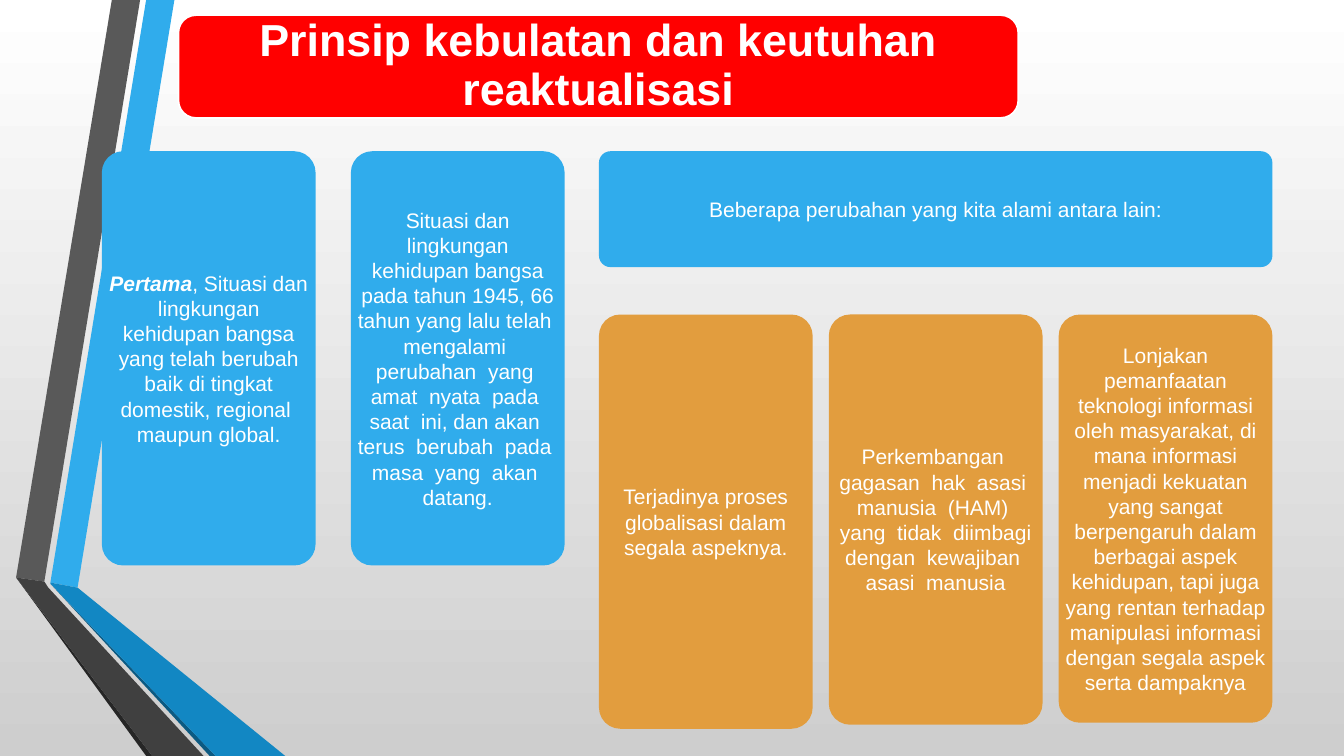
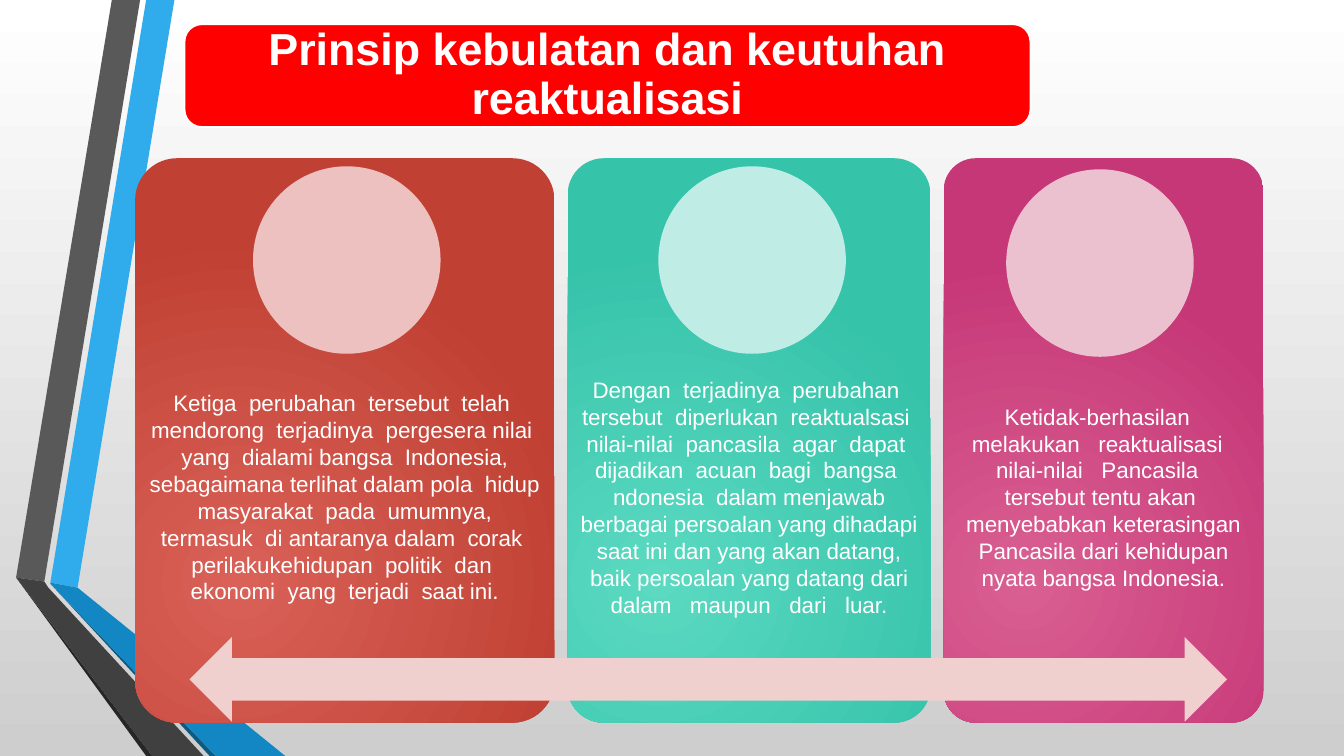
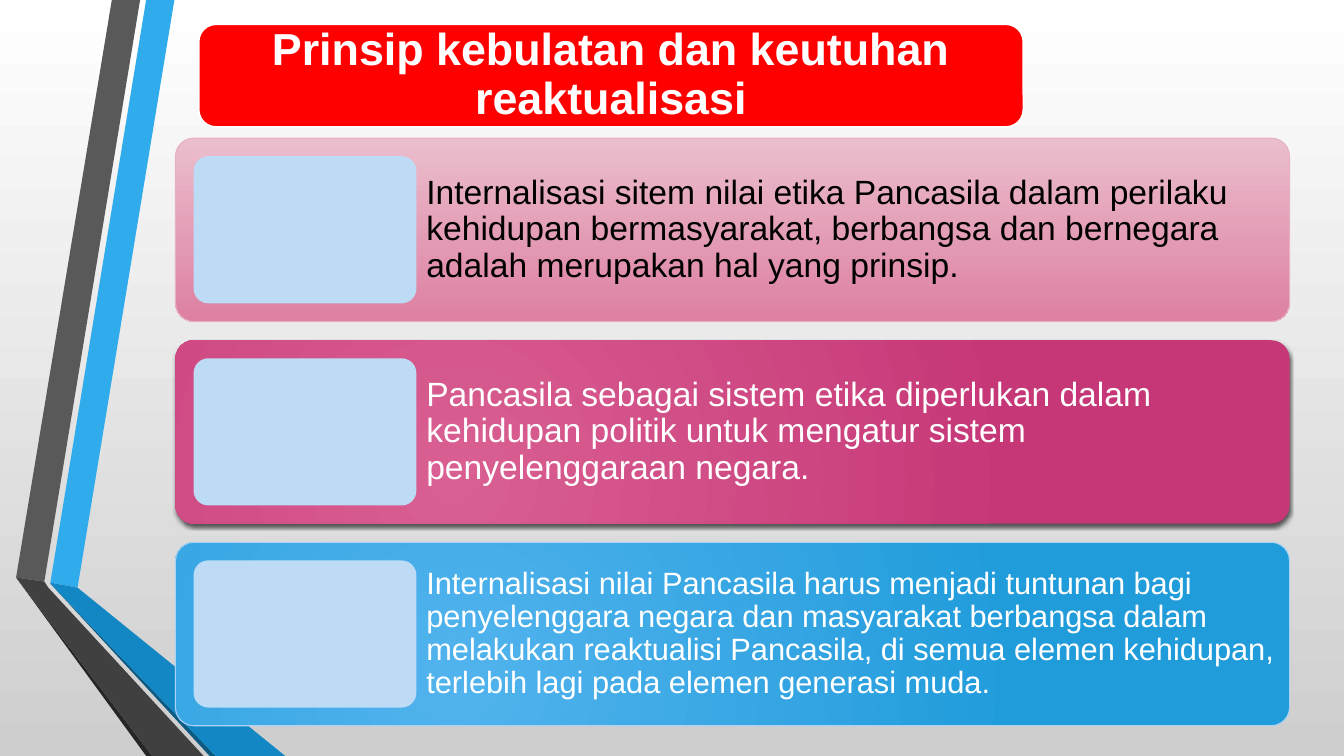
from dataclasses import dataclass

from lxml import etree
from pptx import Presentation
from pptx.dml.color import RGBColor
from pptx.enum import shapes, text
from pptx.oxml import ns
from pptx.util import Inches, Pt


@dataclass(frozen=True)
class Theme:
    font: str = "Arial"
    title_size: int = 32
    row_size: int = 24
    small_row_size: int = 22
    card_size: int = 16
    tile_size: int = 15
    white: str = "FFFFFF"
    black: str = "000000"
    page_end: str = "CECECE"
    banner: str = "FF0000"
    blue: str = "30ACEC"
    orange: str = "E29D3E"
    arrow: str = "F0D0CE"
    panel: str = "BEDBF6"
    red_glow: tuple = ("D96157", "C04033")
    teal_glow: tuple = ("5BD9C1", "35C3AA")
    pink_glow: tuple = ("D95F92", "C63777")
    blue_glow: tuple = ("51B3ED", "219CDB")
    pink_fade: tuple = ("EBBECD", "DD80A2")
    pink_edge: str = "E8B1C3"
    blue_edge: str = "AED2F4"


@dataclass(frozen=True)
class Box:
    x: float
    y: float
    w: float
    h: float

    def inner(self, dx, dy, w, h):
        return Box(self.x + dx, self.y + dy, w, h)

    def emu(self):
        return [Inches(v) for v in (self.x, self.y, self.w, self.h)]


T = Theme()
TITLE = "Prinsip kebulatan dan keutuhan reaktualisasi"
RIBBONS = [
    ("30ACEC", [(0.5, 5.78), (0.77, 5.83), (1.73, 0), (1.45, 0)]),
    ("595959", [(1.39, 0), (1.11, 0), (0.16, 5.73), (0.44, 5.77)]),
    ("262626", [(0.16, 5.73), (1.45, 7.5), (1.51, 7.5)]),
    ("0C5A82", [(0.5, 5.79), (2.08, 7.5), (2.14, 7.5)]),
    ("1287C3", [(0.5, 5.79), (2.14, 7.5), (2.83, 7.5), (0.77, 5.83), (0.5, 5.78)]),
    ("404040", [(2.02, 7.5), (0.48, 5.83), (0.44, 5.77), (0.16, 5.73), (1.51, 7.5)]),
]


def rgb(value):
    return RGBColor.from_string(value)


def add_xml(parent, tag, **attrs):
    return etree.SubElement(parent, ns.qn(tag), **attrs)


def paint_gradient(fill, colors):
    fill.gradient()
    fill.gradient_angle = 270
    for stop, color in zip(fill.gradient_stops, colors):
        stop.color.rgb = rgb(color)


def make_radial(sp):
    lin = sp.element.xpath(".//a:gradFill/a:lin")[0]
    radial = add_xml(lin.getparent(), "a:path", path="circle")
    add_xml(radial, "a:fillToRect", l="50000", t="100000", r="100000", b="50000")
    lin.getparent().remove(lin)


def add_shadow(sp):
    effects = sp.element.xpath("./p:spPr/a:effectLst")[0]
    shadow = add_xml(effects, "a:outerShdw", blurRad=str(Pt(3)), dist=str(Pt(2)),
                     dir="5400000", algn="ctr", rotWithShape="0")
    color = add_xml(shadow, "a:srgbClr", val=T.black)
    add_xml(color, "a:alpha", val="64000")


def finish(sp, fill, edge=None, weight=0.75, radial=True):
    sp.shadow.inherit = False
    if isinstance(fill, tuple):
        paint_gradient(sp.fill, fill)
        if radial:
            make_radial(sp)
    else:
        sp.fill.solid()
        sp.fill.fore_color.rgb = rgb(fill)
    if edge:
        sp.line.color.rgb = rgb(edge)
        sp.line.width = Pt(weight)
    else:
        sp.line.fill.background()
    return sp


def add_block(slide, box, fill, kind=shapes.MSO_SHAPE.ROUNDED_RECTANGLE, corner=0.1, **style):
    sp = slide.shapes.add_shape(kind, *box.emu())
    if kind == shapes.MSO_SHAPE.ROUNDED_RECTANGLE:
        sp.adjustments[0] = corner
    return finish(sp, fill, **style)


def write(sp, content, size, color=T.white, lead="", bold=False,
          align=text.PP_ALIGN.CENTER, spacing=1.0, margins=(0, 0)):
    tf = sp.text_frame
    tf.word_wrap = True
    tf.auto_size = text.MSO_AUTO_SIZE.NONE
    tf.vertical_anchor = text.MSO_ANCHOR.MIDDLE
    tf.margin_left = tf.margin_right = Inches(margins[0])
    tf.margin_top = tf.margin_bottom = Inches(margins[1])
    p = tf.paragraphs[0]
    p.alignment = align
    p.line_spacing = spacing
    for part, strong in ((lead, True), (content, False)):
        if part:
            r = p.add_run()
            r.text = part
            r.font.name = T.font
            r.font.size = Pt(size)
            r.font.color.rgb = rgb(color)
            r.font.bold = strong or bold
            r.font.italic = strong


def dress_master(master, slide):
    paint_gradient(master.background.fill, (T.white, T.page_end))
    tree = master.shapes.element
    for i, (color, points) in enumerate(RIBBONS):
        (x, y), *rest = [(Inches(a), Inches(b)) for a, b in points]
        builder = slide.shapes.build_freeform(x, y)
        builder.add_line_segments(rest, close=True)
        sp = finish(builder.convert_to_shape(), color)
        sp.element.xpath(".//p:cNvPr")[0].set("id", str(20 + i))
        tree.insert(2 + i, sp.element)


def title_banner(slide, box):
    add_block(slide, box, T.banner, corner=0.17, edge=T.white, weight=1.25)
    title = slide.shapes.title
    title.left, title.top, title.width, title.height = box.emu()
    slide.shapes.element.append(title.element)
    write(title, TITLE, T.title_size, bold=True, spacing=0.9, margins=(0.13, 0))


def tile(slide, box, fill, content, lead=""):
    write(add_block(slide, box, fill), content, T.tile_size, lead=lead)


def changes_slide(slide, area):
    title_banner(slide, Box(1.77, 0.15, 8.33, 1.02))
    width, height, step, detail_step = 2.12, 4.11, 2.47, 2.28
    situations = [
        ("Pertama", ", Situasi dan lingkungan kehidupan bangsa yang telah berubah baik di tingkat "
         "domestik, regional  maupun global."),
        ("", "Situasi dan lingkungan kehidupan bangsa pada tahun 1945, 66 tahun yang lalu telah  "
         "mengalami  perubahan  yang  amat  nyata  pada  saat  ini, dan akan  terus  berubah  "
         "pada  masa  yang  akan  datang."),
    ]
    for i, (lead, content) in enumerate(situations):
        tile(slide, area.inner(i * step, 0, width, height), T.blue, content, lead)
    group = area.inner(4.93, 0, 6.68, 1.15)
    tile(slide, group, T.blue, "Beberapa perubahan yang kita alami antara lain:")
    details = [
        (4.11, "Terjadinya proses globalisasi dalam segala aspeknya."),
        (4.07, "Perkembangan  gagasan  hak  asasi  manusia  (HAM)  yang  tidak  diimbagi dengan  "
         "kewajiban  asasi  manusia"),
        (4.05, "Lonjakan pemanfaatan teknologi informasi oleh masyarakat, di mana informasi "
         "menjadi kekuatan yang sangat berpengaruh dalam berbagai aspek kehidupan, tapi juga "
         "yang rentan terhadap manipulasi informasi dengan segala aspek serta dampaknya"),
    ]
    for i, (tall, content) in enumerate(details):
        tile(slide, group.inner(i * detail_step, 1.62, width, tall), T.orange, content)


def circle_card(slide, box, glow, disc, disc_at, content):
    add_block(slide, box, glow)
    caption = slide.shapes.add_textbox(*box.inner(0, 2.24, box.w, 2.24).emu())
    write(caption, content, T.card_size, margins=(0.12, 0.12))
    add_block(slide, box.inner(*disc_at, 1.86, 1.86), disc, kind=shapes.MSO_SHAPE.OVAL)


def impact_slide(slide, area):
    title_banner(slide, Box(1.83, 0.24, 8.39, 1.02))
    cards = [
        (4.16, T.red_glow, "ECC1BF", (1.17, 0.08),
         "Ketiga  perubahan  tersebut  telah  mendorong  terjadinya  pergesera nilai  yang  "
         "dialami bangsa  Indonesia, sebagaimana terlihat dalam pola  hidup  masyarakat  pada  "
         "umumnya,  termasuk  di antaranya dalam  corak  perilakukehidupan  politik  dan  "
         "ekonomi  yang  terjadi  saat ini."),
        (3.6, T.teal_glow, "C0ECE6", (0.9, 0.08),
         "Dengan  terjadinya  perubahan  tersebut  diperlukan  reaktualsasi  nilai-nilai  "
         "pancasila  agar  dapat  dijadikan  acuan  bagi  bangsa  ndonesia  dalam menjawab "
         "berbagai persoalan yang dihadapi saat ini dan yang akan datang, baik persoalan yang "
         "datang dari dalam   maupun   dari   luar."),
        (3.17, T.pink_glow, "ECC1CF", (0.62, 0.11),
         "Ketidak-berhasilan   melakukan   reaktualisasi   nilai-nilai   Pancasila   tersebut "
         "tentu akan  menyebabkan keterasingan Pancasila dari kehidupan nyata bangsa Indonesia."),
    ]
    dx, gap = 0, 0.13
    for width, glow, disc, disc_at, content in cards:
        circle_card(slide, area.inner(dx, 0, width, area.h), glow, disc, disc_at, content)
        dx += width + gap
    add_block(slide, area.inner(0.54, 4.75, 10.29, 0.84), T.arrow,
              kind=shapes.MSO_SHAPE.LEFT_RIGHT_ARROW)


def panel_row(slide, box, fill, content, size=T.row_size, color=T.white, shadow=False, **style):
    sp = add_block(slide, box, fill, **style)
    if shadow:
        add_shadow(sp)
    caption = slide.shapes.add_textbox(*box.inner(2.39, 0, box.w - 2.4, box.h).emu())
    write(caption, content, size, color=color, align=text.PP_ALIGN.LEFT,
          spacing=0.9, margins=(0.1, 0.1))
    add_block(slide, box.inner(0.18, 0.18, 2.21, 1.46), T.panel)


def principles_slide(slide, area):
    title_banner(slide, Box(1.97, 0.24, 8.18, 1.02))
    rows = [
        (T.pink_fade, "Internalisasi sitem nilai etika Pancasila dalam perilaku kehidupan "
         "bermasyarakat, berbangsa dan bernegara adalah merupakan hal yang prinsip.",
         dict(color=T.black, edge=T.pink_edge, radial=False)),
        (T.pink_glow, "Pancasila sebagai sistem etika diperlukan dalam kehidupan politik untuk "
         "mengatur sistem penyelenggaraan negara.", dict(shadow=True)),
        (T.blue_glow, "Internalisasi nilai Pancasila harus menjadi tuntunan bagi penyelenggara "
         "negara dan masyarakat berbangsa dalam melakukan reaktualisi Pancasila, di semua elemen "
         "kehidupan, terlebih lagi pada elemen generasi muda.",
         dict(size=T.small_row_size, edge=T.blue_edge)),
    ]
    height = 1.82
    step = (area.h - height) / (len(rows) - 1)
    for i, (fill, content, style) in enumerate(rows):
        panel_row(slide, area.inner(0, i * step, area.w, height), fill, content, **style)


def main():
    prs = Presentation()
    prs.slide_width, prs.slide_height = Inches(13.33), Inches(7.5)
    layout = prs.slide_layouts[5]
    pages = [
        (changes_slide, Box(1.01, 1.5, 11.61, 5.73)),
        (impact_slide, Box(1.34, 1.57, 11.18, 5.6)),
        (principles_slide, Box(1.74, 1.37, 11.05, 5.83)),
    ]
    for i, (build, area) in enumerate(pages):
        slide = prs.slides.add_slide(layout)
        if i == 0:
            dress_master(prs.slide_master, slide)
        build(slide, area)
    prs.save("out.pptx")


if __name__ == "__main__":
    main()
